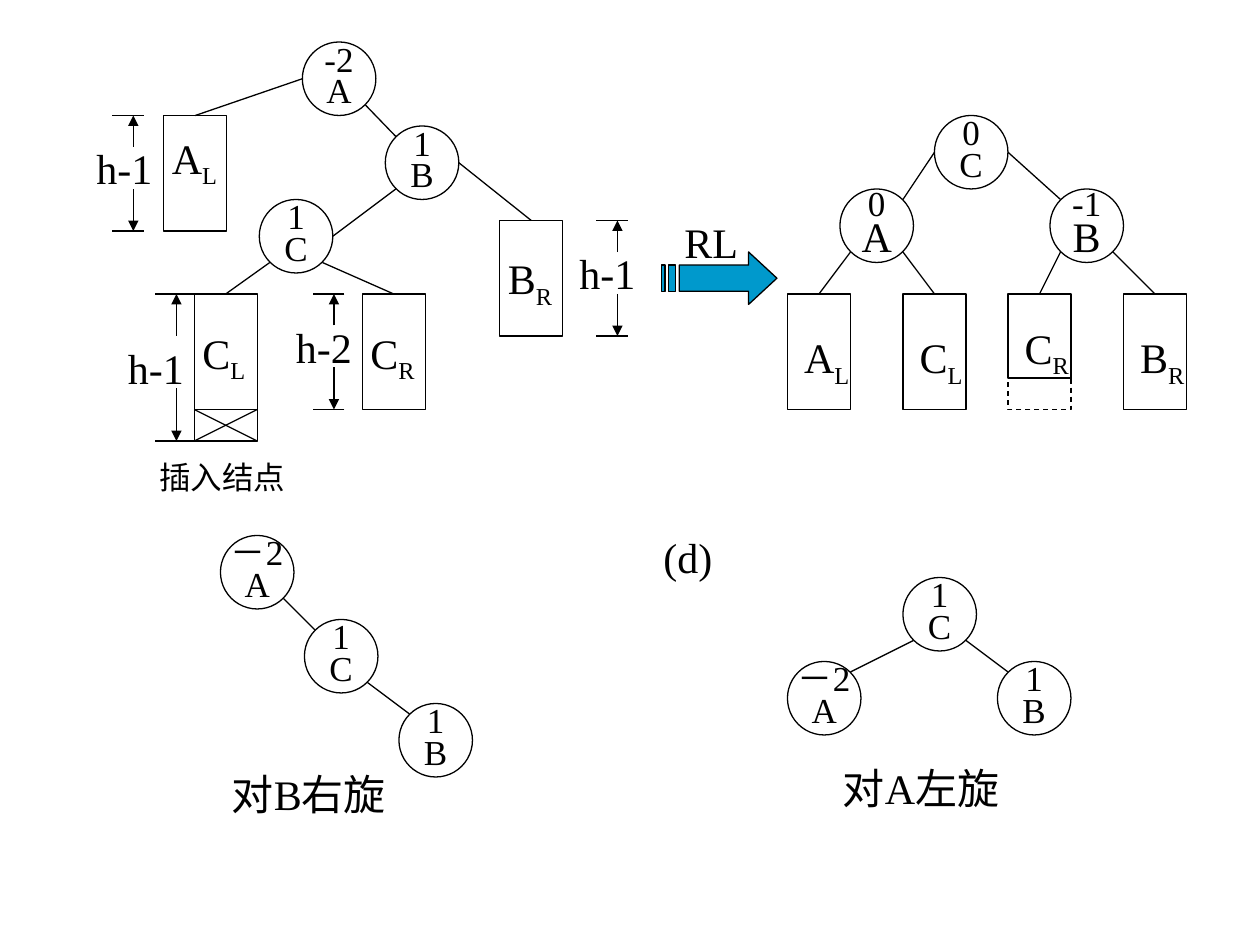
import pptx
import pptx.util
import pptx.dml.color
import pptx.enum.dml
import pptx.enum.shapes
import pptx.enum.text
import pptx.oxml.ns
import lxml.etree

FONT = "Times New Roman"
COLORS = {"ink": "000000", "arrow": "0099CC"}
COLUMNS, ROWS = 120, 90
UNIT = pptx.util.Inches(10) / COLUMNS
LINE_WIDTH = pptx.util.Pt(0.75)
NODE_SIZE, BOX_WIDTH = 7, 6

NODES = {
    "before A": ("-2", "A", 20, 28.8, 4),
    "before B": ("1", "B", 20, 36.7, 12),
    "before C": ("1", "C", 20, 24.7, 19),
    "after C": ("0", "C", 20, 89, 11),
    "after A": ("0", "A", 24, 80, 18),
    "after B": ("-1", "B", 24, 100, 18),
    "right turn A": ("－2", "A", 20, 21, 51),
    "right turn C": ("1", "C", 20, 29, 59),
    "right turn B": ("1", "B", 20, 38, 67),
    "left turn A": ("－2", "A", 20, 75, 63),
    "left turn C": ("1", "C", 20, 86, 55),
    "left turn B": ("1", "B", 20, 95, 63),
}
SUBTREES = {
    "before AL": ("A", "L", 15.6, 11, 11, -0.4, 1),
    "before BR": ("B", "R", 47.6, 21, 11, -0.4, 2.5),
    "before CL": ("C", "L", 18.5, 28, 14, -0.4, 2.6),
    "before CR": ("C", "R", 34.5, 28, 11, -0.4, 2.6),
    "after AL": ("A", "L", 75, 28, 11, 0.4, 3),
    "after CL": ("C", "L", 86, 28, 11, 0.4, 3),
    "after CR": ("C", "R", 96, 28, 8, 0.4, 2.1),
    "after BR": ("B", "R", 107, 28, 11, 0.4, 3),
}
ANCHORS = {
    "left": (0, 3.5), "right": (7, 3.5),
    "lower left": (1, 6), "lower right": (6, 6),
    "upper left": (1, 1), "upper right": (6, 1),
    "top": (BOX_WIDTH / 2, 0),
}
EDGES = [
    ("before A", "left", "before AL", "top"),
    ("before A", "lower right", "before B", "upper left"),
    ("before B", "lower left", "before C", "right"),
    ("before B", "right", "before BR", "top"),
    ("before C", "lower left", "before CL", "top"),
    ("before C", "lower right", "before CR", "top"),
    ("after C", "left", "after A", "upper right"),
    ("after C", "right", "after B", "upper left"),
    ("after A", "lower left", "after AL", "top"),
    ("after A", "lower right", "after CL", "top"),
    ("after B", "lower left", "after CR", "top"),
    ("after B", "lower right", "after BR", "top"),
    ("right turn A", "lower right", "right turn C", "upper left"),
    ("right turn C", "lower right", "right turn B", "upper left"),
    ("left turn C", "lower left", "left turn A", "upper right"),
    ("left turn C", "lower right", "left turn B", "upper left"),
]
HEIGHTS = [
    ("h-1", 8, 13, 12.7, 11, 14, 18, 22, 1),
    ("h-1", 11, 32, 16.8, 28, 32, 37, 42, 1.9),
    ("h-2", 27, 30, 31.8, 28, 31, 35, 39, 1),
    ("h-1", 54, 23, 58.8, 21, 24, 28, 32, 1),
]
CAPTIONS = [
    ("RL", 24, 64, 20, 7.8, 6),
    ("插入结点", 18, 14, 43, 14.4, 4.8),
    ("(d)", 24, 62, 50, 13, 6),
    ("对B右旋", 24, 20.9, 72.6, 19, 6),
    ("对A左旋", 24, 79.1, 72, 19.2, 6),
]
ARROW_TOP, ARROW_BOTTOM = 25.25, 27.75
ARROW_STRIPES = [(63, 63.35), (63.7, 64.35)]
ARROW_BODY = [(64.7, ARROW_TOP), (71.3, ARROW_TOP), (71.3, 24), (74, 26.5),
              (71.3, 29), (71.3, ARROW_BOTTOM), (64.7, ARROW_BOTTOM)]


def grid(*lengths):
    return [round(length * UNIT) for length in lengths]


def color(name):
    return pptx.dml.color.RGBColor.from_string(COLORS[name])


def style_font(run, size):
    run.font.name = FONT
    run.font.size = pptx.util.Pt(size)
    run.font.color.rgb = color("ink")


def style_outline(shape):
    shape.line.color.rgb = color("ink")
    shape.line.width = LINE_WIDTH


def add_outline(kind, left, top, width, height):
    shape = slide.shapes.add_shape(kind, *grid(left, top, width, height))
    shape.shadow.inherit = False
    shape.fill.background()
    style_outline(shape)
    return shape


def add_line(start, end, arrow=False):
    connector = slide.shapes.add_connector(
        pptx.enum.shapes.MSO_CONNECTOR.STRAIGHT, *grid(*start, *end))
    style_outline(connector)
    if arrow:
        lxml.etree.SubElement(connector.line._get_or_add_ln(),
                              pptx.oxml.ns.qn("a:tailEnd"), type="triangle")
    lxml.etree.SubElement(connector._element.spPr, pptx.oxml.ns.qn("a:effectLst"))


def add_text(text, size, left, top, width, height, subscript=""):
    shape = slide.shapes.add_textbox(*grid(left, top, width, height))
    shape.text_frame.word_wrap = False
    shape.text_frame.auto_size = pptx.enum.text.MSO_AUTO_SIZE.SHAPE_TO_FIT_TEXT
    paragraph = shape.text_frame.paragraphs[0]
    paragraph.text = text
    if subscript:
        run = paragraph.add_run()
        run.text = subscript
        run._r.get_or_add_rPr().set("baseline", "-25000")
    for run in paragraph.runs:
        style_font(run, size)


def add_node(balance, name, name_size, left, top):
    shape = add_outline(pptx.enum.shapes.MSO_SHAPE.OVAL, left, top, NODE_SIZE, NODE_SIZE)
    frame = shape.text_frame
    frame.text = f"{balance}\n{name}"
    frame.word_wrap = False
    frame.vertical_anchor = pptx.enum.text.MSO_ANCHOR.MIDDLE
    for paragraph, size in zip(frame.paragraphs, (20, name_size)):
        paragraph.alignment = pptx.enum.text.PP_ALIGN.CENTER
        paragraph.line_spacing = 0.75
        style_font(paragraph.runs[0], size)


def add_striped_arrow():
    contours = [ARROW_BODY] + [
        [(left, ARROW_TOP), (right, ARROW_TOP), (right, ARROW_BOTTOM), (left, ARROW_BOTTOM)]
        for left, right in ARROW_STRIPES]
    builder = slide.shapes.build_freeform(*grid(*ARROW_BODY[0]))
    for contour in contours:
        builder.move_to(*grid(*contour[0]))
        builder.add_line_segments([grid(*point) for point in contour[1:]], close=True)
    shape = builder.convert_to_shape()
    shape.shadow.inherit = False
    shape.fill.solid()
    shape.fill.fore_color.rgb = color("arrow")
    style_outline(shape)


presentation = pptx.Presentation()
presentation.slide_width, presentation.slide_height = grid(COLUMNS, ROWS)
slide = presentation.slides.add_slide(presentation.slide_layouts[6])
rectangle = pptx.enum.shapes.MSO_SHAPE.RECTANGLE

add_striped_arrow()
origins = {}
for key, node in NODES.items():
    add_node(*node)
    origins[key] = node[-2:]
for key, (name, side, left, top, height, shift, drop) in SUBTREES.items():
    add_outline(rectangle, left, top, BOX_WIDTH, height)
    add_text(name, 24, left + shift, top + drop, 7, 6.7, side)
    origins[key] = (left, top)

for parent, leaving, child, entering in EDGES:
    start, end = [
        [origin + offset for origin, offset in zip(origins[key], ANCHORS[anchor])]
        for key, anchor in ((parent, leaving), (child, entering))]
    add_line(start, end)

left, top = origins["before CL"]
right, upper, lower = left + BOX_WIDTH, top + 11, top + 14
for left_end, right_end in ((upper, upper), (lower, upper), (upper, lower)):
    add_line((right, right_end), (left, left_end))

left, top = origins["after CR"]
missing = add_outline(rectangle, left, top + 8, BOX_WIDTH, 3)
missing.line.dash_style = pptx.enum.dml.MSO_LINE.DASH

for label, left, label_top, axis, top, gap_top, gap_bottom, bottom, reach in HEIGHTS:
    for level, gap in ((top, gap_top), (bottom, gap_bottom)):
        add_line((axis + reach, level), (axis - 2, level))
        add_line((axis, gap), (axis, level), arrow=True)
    add_text(label, 24, left, label_top, 7.8, 6)

for caption in CAPTIONS:
    add_text(*caption)

presentation.save("out.pptx")
